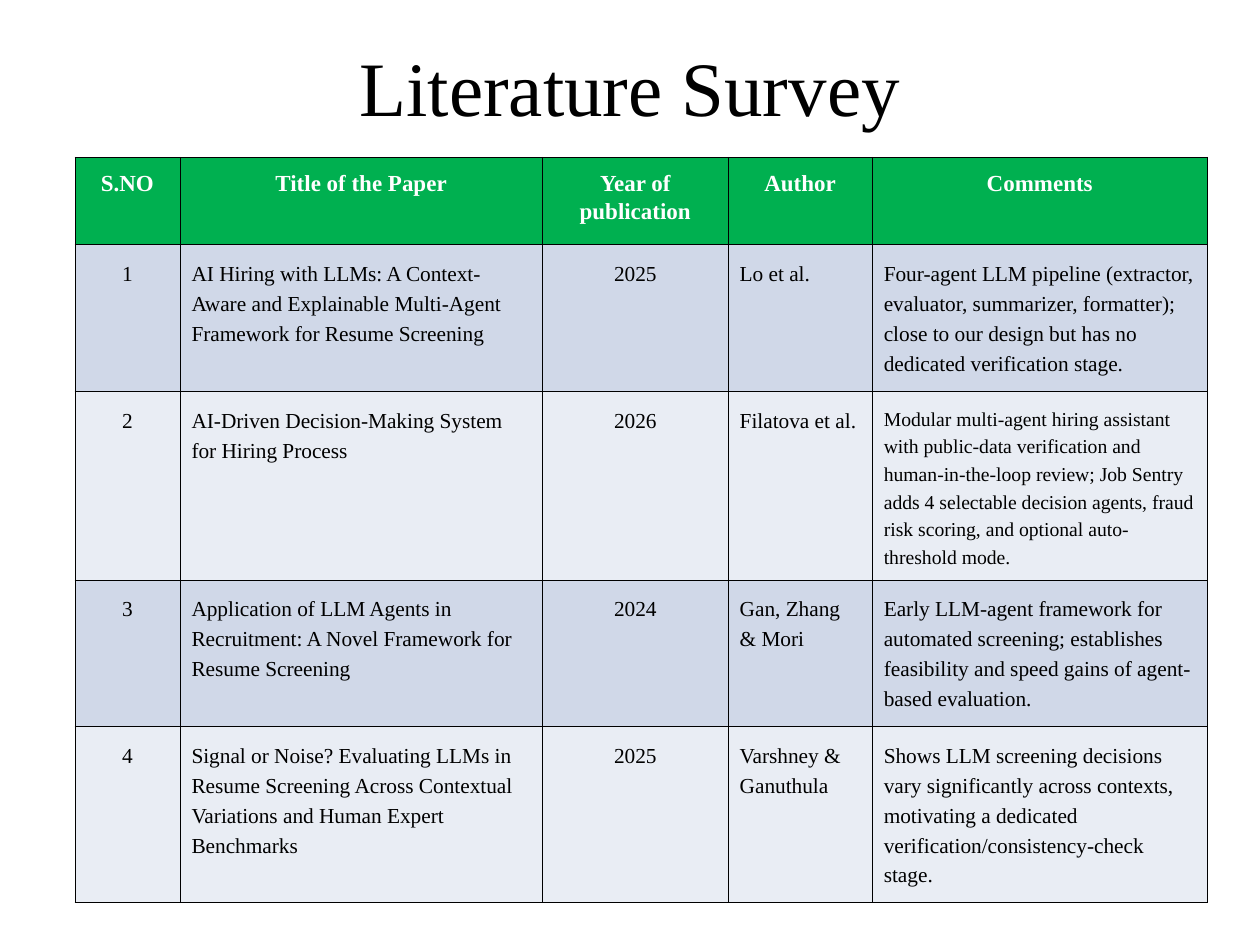
from dataclasses import dataclass
from pptx import Presentation
from pptx.dml.color import RGBColor as RGB
from pptx.enum.text import MSO_ANCHOR, PP_ALIGN as AL
from pptx.oxml import parse_xml
from pptx.oxml.ns import nsdecls
from pptx.util import Cm, Pt


@dataclass(frozen=True)
class Theme:
    font: str = "Times New Roman"
    ink: str = "000000"
    paper: str = "FFFFFF"
    header: str = "00B050"
    bands: tuple = ("D0D8E8", "E9EDF4")
    title_size: float = 46.9
    header_size: float = 14
    body_size: float = 13
    small_size: float = 12
    leading: float = 1.2
    body_leading: float = 1.4
    border: float = 0.37
    inset: float = 0.25


COLUMNS = (2.26, 7.8, 3.99, 3.1, 7.21)
HEIGHTS = (1.88, 3.16, 2.95, 3.15, 3.78)
CENTERED = (0, 2)
HEADINGS = ("S.NO", "Title of the Paper", "Year of publication", "Author", "Comments")
PAPERS = (
    ("AI Hiring with LLMs: A Context-Aware and Explainable Multi-Agent Framework for Resume Screening",
     "2025", "Lo et al.",
     "Four-agent LLM pipeline (extractor, evaluator, summarizer, formatter); close to our design "
     "but has no dedicated verification stage."),
    ("AI-Driven Decision-Making System for Hiring Process",
     "2026", "Filatova et al.",
     "Modular multi-agent hiring assistant with public-data verification and human-in-the-loop review; "
     "Job Sentry adds 4 selectable decision agents, fraud risk scoring, and optional auto-threshold mode."),
    ("Application of LLM Agents in Recruitment: A Novel Framework for Resume Screening",
     "2024", "Gan, Zhang & Mori",
     "Early LLM-agent framework for automated screening; establishes feasibility and speed gains "
     "of agent-based evaluation."),
    ("Signal or Noise? Evaluating LLMs in Resume Screening Across Contextual Variations "
     "and Human Expert Benchmarks",
     "2025", "Varshney & Ganuthula",
     "Shows LLM screening decisions vary significantly across contexts, motivating a dedicated "
     "verification/consistency-check stage."),
)
LONG_COMMENT = (2, 4)


class Deck:
    """Draws styled elements on the current slide."""

    def __init__(self, slide, theme):
        self.s, self.t = slide, theme

    def text(self, tf, text, size, color, leading, align=AL.LEFT, bold=False):
        p = tf.paragraphs[0]
        p.alignment = align
        p.line_spacing = Pt(size * leading)
        r = p.add_run()
        r.text = text
        r.font.name, r.font.size, r.font.bold = self.t.font, Pt(size), bold
        r.font.color.rgb = RGB.from_string(color)

    def title(self, text, left, top, width, height):
        sp = self.s.shapes.add_textbox(Cm(left), Cm(top), Cm(width), Cm(height))
        tf = sp.text_frame
        tf.word_wrap = True
        tf.vertical_anchor = MSO_ANCHOR.TOP
        tf.margin_left = tf.margin_right = tf.margin_top = tf.margin_bottom = 0
        self.text(tf, text, self.t.title_size, self.t.ink, self.t.leading, AL.CENTER)

    def cell(self, cell, text, size, color, fill, leading, align, bold=False):
        cell.margin_left = cell.margin_right = Cm(self.t.inset)
        cell.margin_top = cell.margin_bottom = Cm(self.t.inset)
        tc_pr = cell._tc.get_or_add_tcPr()
        for side in "LRTB":
            tc_pr.append(parse_xml(
                f'<a:ln{side} {nsdecls("a")} w="{int(Pt(self.t.border))}"><a:solidFill>'
                f'<a:srgbClr val="{self.t.ink}"/></a:solidFill></a:ln{side}>'))
        cell.fill.solid()
        cell.fill.fore_color.rgb = RGB.from_string(fill)
        self.text(cell.text_frame, text, size, color, leading, align, bold)

    def table(self, rows, left, top):
        t = self.t
        tbl = self.s.shapes.add_table(len(rows), len(COLUMNS), Cm(left), Cm(top),
                                      Cm(sum(COLUMNS)), Cm(sum(HEIGHTS))).table
        for col, width in zip(tbl.columns, COLUMNS):
            col.width = Cm(width)
        for i, (row, height) in enumerate(zip(rows, HEIGHTS)):
            tbl.rows[i].height = Cm(height)
            for j, text in enumerate(row):
                cell = tbl.cell(i, j)
                if i == 0:
                    self.cell(cell, text, t.header_size, t.paper, t.header, t.leading, AL.CENTER, True)
                    continue
                size = t.small_size if (i, j) == LONG_COMMENT else t.body_size
                align = AL.CENTER if j in CENTERED else AL.LEFT
                self.cell(cell, text, size, t.ink, t.bands[(i - 1) % 2], t.body_leading, align)


def main():
    prs = Presentation()
    prs.slide_width, prs.slide_height = Cm(27.1), Cm(20.32)
    deck = Deck(prs.slides.add_slide(prs.slide_layouts[6]), Theme())
    papers = [(str(n), *paper) for n, paper in enumerate(PAPERS, 1)]
    deck.table([HEADINGS, *papers], 1.61, 3.38)
    deck.title("Literature Survey", 1.61, 0.86, 23.88, 3.2)
    prs.save("out.pptx")


if __name__ == "__main__":
    main()
